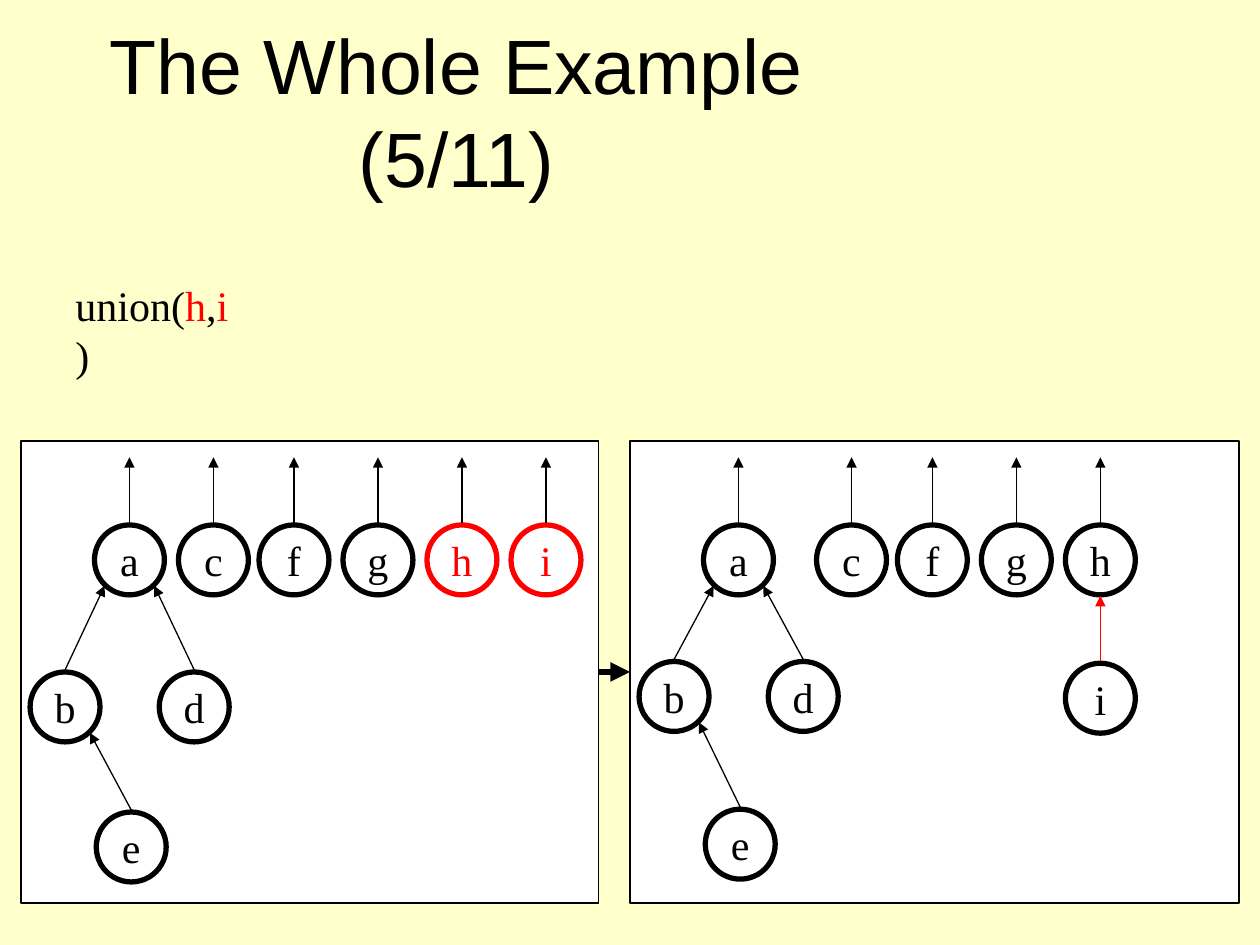
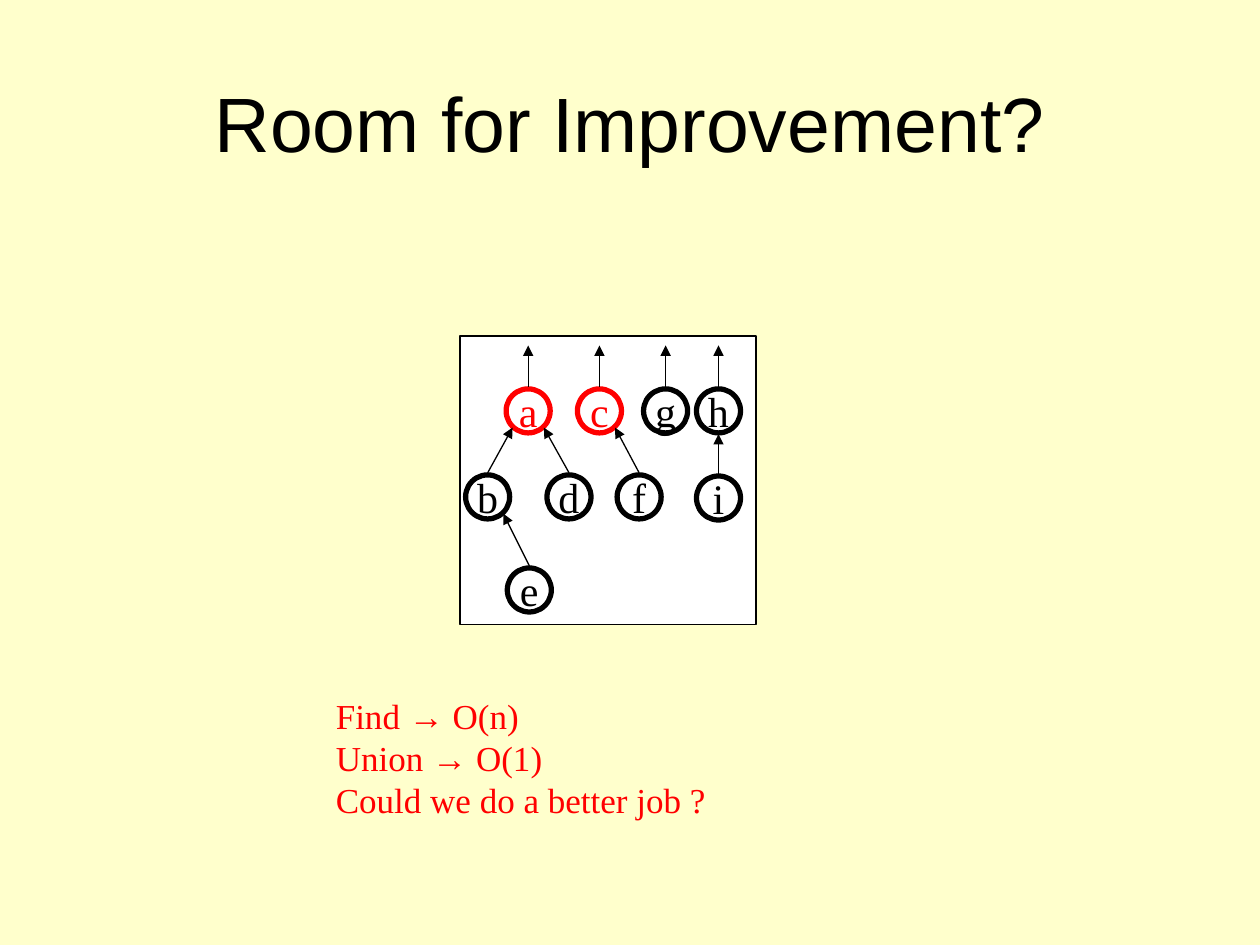
"""Build two slides on disjoint-set forests."""
from dataclasses import dataclass
from typing import NamedTuple, Optional

from lxml.etree import SubElement
from pptx import Presentation
from pptx.dml.color import RGBColor
from pptx.enum.shapes import MSO_CONNECTOR, MSO_SHAPE
from pptx.enum.text import MSO_ANCHOR, PP_ALIGN
from pptx.oxml.ns import qn
from pptx.util import Inches, Pt

COLS, ROWS = 120, 90
WIDE, HIGH = Inches(10), Inches(7.5)


@dataclass(frozen=True)
class Theme:
    """Colours, fonts, type sizes and line widths of the deck."""
    back: RGBColor = RGBColor(0xFF, 0xFF, 0xCC)
    paper: RGBColor = RGBColor(0xFF, 0xFF, 0xFF)
    ink: RGBColor = RGBColor(0, 0, 0)
    mark: RGBColor = RGBColor(0xFF, 0, 0)
    head: str = "Arial"
    body: str = "Times New Roman"
    title: float = 44
    label: float = 24
    note: float = 20
    thin: float = 0.75
    ring: float = 3
    bold: float = 3.75


T = Theme()


class Box(NamedTuple):
    """A rectangle in grid columns and rows."""
    col: float
    row: float
    cols: float
    rows: float


class Spot(NamedTuple):
    """A point in grid columns and rows."""
    col: float
    row: float


class Node(NamedTuple):
    """A tree node, placed from the corner of its panel."""
    name: str
    col: float
    row: float
    up: Optional[str] = None
    hue: RGBColor = T.ink
    link: RGBColor = T.ink


@dataclass(frozen=True)
class Forest:
    """A panel of trees drawn at one scale."""
    box: Box
    nodes: list[Node]
    scale: float = 1

    def spot(self, node: Node) -> Spot:
        """Return the centre of a node on the slide."""
        return Spot(self.box.col + node.col * self.scale,
                    self.box.row + node.row * self.scale)


TOP, MID, LOW = 11.33, 24.33, 38.4
RADIUS, STEM, GAP = 3.33, 6.25, 0.2


def core(hue: RGBColor = T.ink, mid: float = MID, low: float = LOW) -> list[Node]:
    """Return the tree of a, b, d and e."""
    return [Node("a", 10.33, TOP, hue=hue), Node("b", 4.2, mid, "a"),
            Node("d", 16.5, mid, "a"), Node("e", 10.5, low, "b")]


def roots(names: str, start: float, step: float = 8) -> list[Node]:
    """Return single nodes at equal steps along the top row."""
    return [Node(name, start + k * step, TOP) for k, name in enumerate(names)]


BEFORE = Forest(Box(2, 42, 55, 44), [
    *core(mid=25.33, low=38.67), Node("c", 18.33, TOP), *roots("fg", 26),
    *(node._replace(hue=T.mark) for node in roots("hi", 42))])
AFTER = Forest(Box(60, 42, 58, 44), [
    *core(), Node("c", 21.1, TOP), *roots("fgh", 28.8),
    Node("i", 44.8, 24.5, "h", link=T.mark)])
ROOM = Forest(Box(43.8, 32, 28.2, 27.5), [
    *core(T.mark), Node("c", 21.1, TOP, hue=T.mark), Node("f", 27.1, MID, "c"),
    *roots("gh", 31.1), Node("i", 39.1, 24.5, "h")], 0.63)


def across(cols: float) -> int:
    """Turn grid columns into a length."""
    return round(WIDE * cols / COLS)


def down(rows: float) -> int:
    """Turn grid rows into a length."""
    return round(HIGH * rows / ROWS)


def place(box: Box) -> tuple[int, int, int, int]:
    """Turn a grid box into left, top, width and height."""
    return across(box.col), down(box.row), across(box.cols), down(box.rows)


def shape(shapes, kind: MSO_SHAPE, box: Box, hue: RGBColor, width: float):
    """Draw an unfilled outline shape."""
    item = shapes.add_shape(kind, *place(box))
    item.shadow.inherit = False
    item.fill.background()
    item.line.color.rgb = hue
    item.line.width = Pt(width)
    return item


def arrow(shapes, start: Spot, end: Spot, hue: RGBColor = T.ink,
          width: float = T.thin) -> None:
    """Draw a straight arrow."""
    item = shapes.add_connector(MSO_CONNECTOR.STRAIGHT, across(start.col),
                                down(start.row), across(end.col), down(end.row))
    item.line.color.rgb = hue
    item.line.width = Pt(width)
    SubElement(item.line._get_or_add_ln(), qn("a:tailEnd"), type="triangle")
    SubElement(item._element.spPr, qn("a:effectLst"))


def style(font, size: float, hue: RGBColor, face: str = T.body) -> None:
    """Set size, colour and face of a font."""
    font.size, font.name = Pt(size), face
    font.color.rgb = hue


def text(slide, box: Box, wrap: bool = True):
    """Add a text box and return its frame."""
    frame = slide.shapes.add_textbox(*place(box)).text_frame
    frame.word_wrap = wrap
    return frame


def title(slide, words: str, box: Box, foot: float = 0.6) -> None:
    """Add a centred title above a foot of empty rows."""
    frame = text(slide, box)
    frame.vertical_anchor = MSO_ANCHOR.MIDDLE
    frame.margin_bottom = down(foot)
    para = frame.paragraphs[0]
    para.text, para.alignment = words, PP_ALIGN.CENTER
    style(para.font, T.title, T.ink, T.head)


def ring(shapes, node: Node, spot: Spot, size: float) -> None:
    """Draw a node as a labelled circle."""
    box = Box(spot.col - size, spot.row - size, 2 * size, 2 * size)
    frame = shape(shapes, MSO_SHAPE.OVAL, box, node.hue, T.ring).text_frame
    frame.word_wrap = False
    frame.vertical_anchor = MSO_ANCHOR.MIDDLE
    para = frame.paragraphs[0]
    para.text, para.alignment = node.name, PP_ALIGN.CENTER
    style(para.font, T.label, node.hue)


def draw(shapes, wood: Forest) -> None:
    """Draw a panel with its nodes and their arrows."""
    panel = shape(shapes, MSO_SHAPE.RECTANGLE, wood.box, T.ink, T.thin)
    panel.fill.solid()
    panel.fill.fore_color.rgb = T.paper
    spots = {node.name: wood.spot(node) for node in wood.nodes}
    size = RADIUS * wood.scale
    for node in wood.nodes:
        spot = spots[node.name]
        ring(shapes, node, spot, size)
        start = Spot(spot.col, spot.row - size - GAP)
        if node.up is None:
            end = Spot(start.col, start.row - STEM * wood.scale)
        else:
            goal = spots[node.up]
            side = (spot.col > goal.col) - (spot.col < goal.col)
            drop = size * 0.71 if side else size
            end = Spot(goal.col + side * size * 0.71, goal.row + drop + GAP / 2)
        arrow(shapes, start, end, node.link)


def sheet(deck):
    """Add a blank slide with the shared background."""
    slide = deck.slides.add_slide(deck.slide_layouts[6])
    slide.background.fill.solid()
    slide.background.fill.fore_color.rgb = T.back
    return slide


def union(deck) -> None:
    """Build the slide that joins h and i."""
    slide = sheet(deck)
    title(slide, "The Whole Example (5/11)", Box(1, 3, 85, 15))
    para = text(slide, Box(6, 26, 18.2, 6), False).paragraphs[0]
    for part in ("union(", "h", ",", "i", ")"):
        run = para.add_run()
        run.text = part
        style(run.font, T.label, T.mark if part in "hi" else T.ink)
    draw(slide.shapes, BEFORE)
    draw(slide.shapes, AFTER)
    arrow(slide.shapes, Spot(57, 64), Spot(60, 64), width=T.bold)


def better(deck) -> None:
    """Build the slide that asks for a faster way."""
    slide = sheet(deck)
    title(slide, "Room for Improvement?", Box(9, 8, 102, 15), 8.4)
    draw(slide.shapes.add_group_shape().shapes, ROOM)
    frame = text(slide, Box(30.8, 65.6, 68.5, 13.2))
    lines = (("Find ", "→", " O(n)"), ("Union ", "→", " O(1)"),
             ("Could we do a better job ?",))
    for k, parts in enumerate(lines):
        para = frame.add_paragraph() if k else frame.paragraphs[0]
        for part in parts:
            run = para.add_run()
            run.text = part
            style(run.font, T.note, T.mark, T.head if part == "→" else T.body)


def main() -> None:
    """Build and save the deck."""
    deck = Presentation()
    deck.slide_width, deck.slide_height = WIDE, HIGH
    union(deck)
    better(deck)
    deck.save("out.pptx")


if __name__ == "__main__":
    main()
